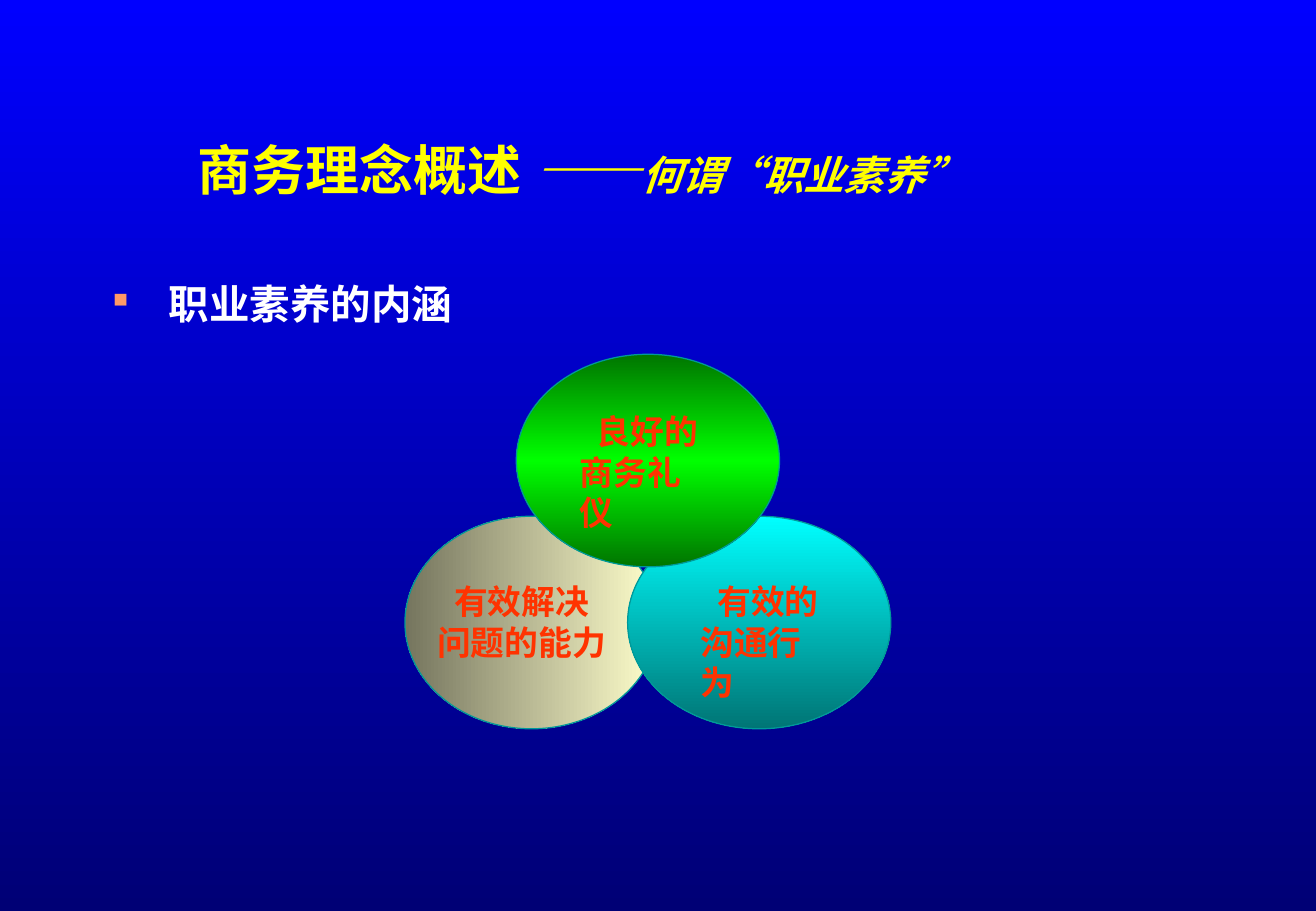
"""Build the slide on what professional competence consists of."""
from copy import deepcopy
from dataclasses import dataclass

from lxml.etree import SubElement
from pptx import Presentation
from pptx.dml.color import RGBColor
from pptx.enum.shapes import MSO_SHAPE
from pptx.enum.text import MSO_ANCHOR, PP_ALIGN
from pptx.oxml.ns import qn
from pptx.util import Inches, Pt


@dataclass(frozen=True)
class Theme:
    font: str = "Times New Roman"
    title: str = "FFFF00"
    body: str = "FFFFFF"
    label: str = "FF3300"
    outline: str = "009999"
    bullet: str = "FF9966"
    title_size: int = 32
    body_size: int = 24
    label_size: int = 20


THEME = Theme()
WIDTH, HEIGHT = 10.84, 7.5
COLUMN, ROW = WIDTH / 130, HEIGHT / 90
DOWN, LEFTWARD = 270, 180
FIRST_LINE_SHIFT = 0.14

BACKGROUND = [(0, "0000FF"), (1, "000075")]
TITLE = [
    ("商务理念概述 ", {"size": Pt(THEME.title_size)}),
    ("——", {"size": Pt(THEME.title_size), "italic": True}),
    ("何谓“职业素养”", {"size": Pt(THEME.body_size), "italic": True}),
]
HEADING = "职业素养的内涵"
CIRCLES = [
    {"cell": (40, 51, 25, 21), "stops": [(0, "FFFFCC"), (1, "75755E")], "angle": LEFTWARD,
     "label": (42, 56.8, 19.1), "lines": ["有效解决", "问题的能力"]},
    {"cell": (62, 51, 26, 21), "stops": [(0, "00FFFF"), (1, "007575")], "angle": DOWN,
     "label": (68, 56.8, 15.7), "lines": ["有效的", "沟通行为"]},
    {"cell": (51, 35, 26, 21), "stops": [(0, "007500"), (0.5, "00FF00"), (1, "007500")],
     "angle": DOWN, "label": (56.1, 40, 15.7), "lines": ["良好的", "商务礼仪"]},
]


def place(column, row, columns, rows):
    return [Inches(column * COLUMN), Inches(row * ROW),
            Inches(columns * COLUMN), Inches(rows * ROW)]


def apply(target, formats):
    for name, value in formats.items():
        setattr(target, name, value)


def paint_gradient(fill, owner, stops, angle):
    fill.gradient()
    fill.gradient_angle = angle
    stop_list = next(owner.iter(qn("a:gsLst")))
    while len(stop_list) < len(stops):
        stop_list.append(deepcopy(stop_list[-1]))
    for stop, (position, color) in zip(fill.gradient_stops, stops):
        stop.position = position
        stop.color.rgb = RGBColor.from_string(color)


def add_span(para, text, color, **formats):
    span = para.add_run()
    span.text = text
    apply(span.font, {"name": THEME.font, "bold": True, **formats})
    span.font.color.rgb = RGBColor.from_string(color)


def add_box(page, cell, **formats):
    frame = page.shapes.add_textbox(*place(*cell)).text_frame
    apply(frame, {"word_wrap": True, **formats})
    return frame


def add_heading(page):
    para = add_box(page, (10, 26, 79, 7)).paragraphs[0]
    apply(para, {"alignment": PP_ALIGN.JUSTIFY, "line_spacing": 1.2})
    properties = para._p.get_or_add_pPr()
    properties.set("marL", str(Inches(0.46)))
    properties.set("indent", str(-Inches(0.46)))
    bullet_color = SubElement(properties, qn("a:buClr"))
    SubElement(bullet_color, qn("a:srgbClr"), val=THEME.bullet)
    SubElement(properties, qn("a:buSzPct"), val="50000")
    SubElement(properties, qn("a:buChar"), char="■")
    add_span(para, HEADING, THEME.body, size=Pt(THEME.body_size))


def add_circle(page, circle):
    oval = page.shapes.add_shape(MSO_SHAPE.OVAL, *place(*circle["cell"]))
    oval.shadow.inherit = False
    paint_gradient(oval.fill, oval._element.spPr, circle["stops"], circle["angle"])
    oval.line.color.rgb = RGBColor.from_string(THEME.outline)
    oval.line.width = Pt(0.75)


def add_label(page, circle):
    frame = add_box(page, (*circle["label"], 9.2), word_wrap=False)
    for index, line in enumerate(circle["lines"]):
        para = frame.add_paragraph() if index else frame.paragraphs[0]
        if index == 0:
            para._p.get_or_add_pPr().set("marL", str(Inches(FIRST_LINE_SHIFT)))
        add_span(para, line, THEME.label, size=Pt(THEME.label_size))


def main():
    deck = Presentation()
    apply(deck, {"slide_width": Inches(WIDTH), "slide_height": Inches(HEIGHT)})
    page = deck.slides.add_slide(deck.slide_layouts[6])
    paint_gradient(page.background.fill, page._element, BACKGROUND, DOWN)

    title = add_box(page, (18.3, 12, 97.5, 11), vertical_anchor=MSO_ANCHOR.MIDDLE).paragraphs[0]
    title.line_spacing = 0.7
    for text, formats in TITLE:
        add_span(title, text, THEME.title, **formats)

    add_heading(page)
    for add_part in (add_circle, add_label):
        for circle in CIRCLES:
            add_part(page, circle)
    deck.save("out.pptx")


if __name__ == "__main__":
    main()
